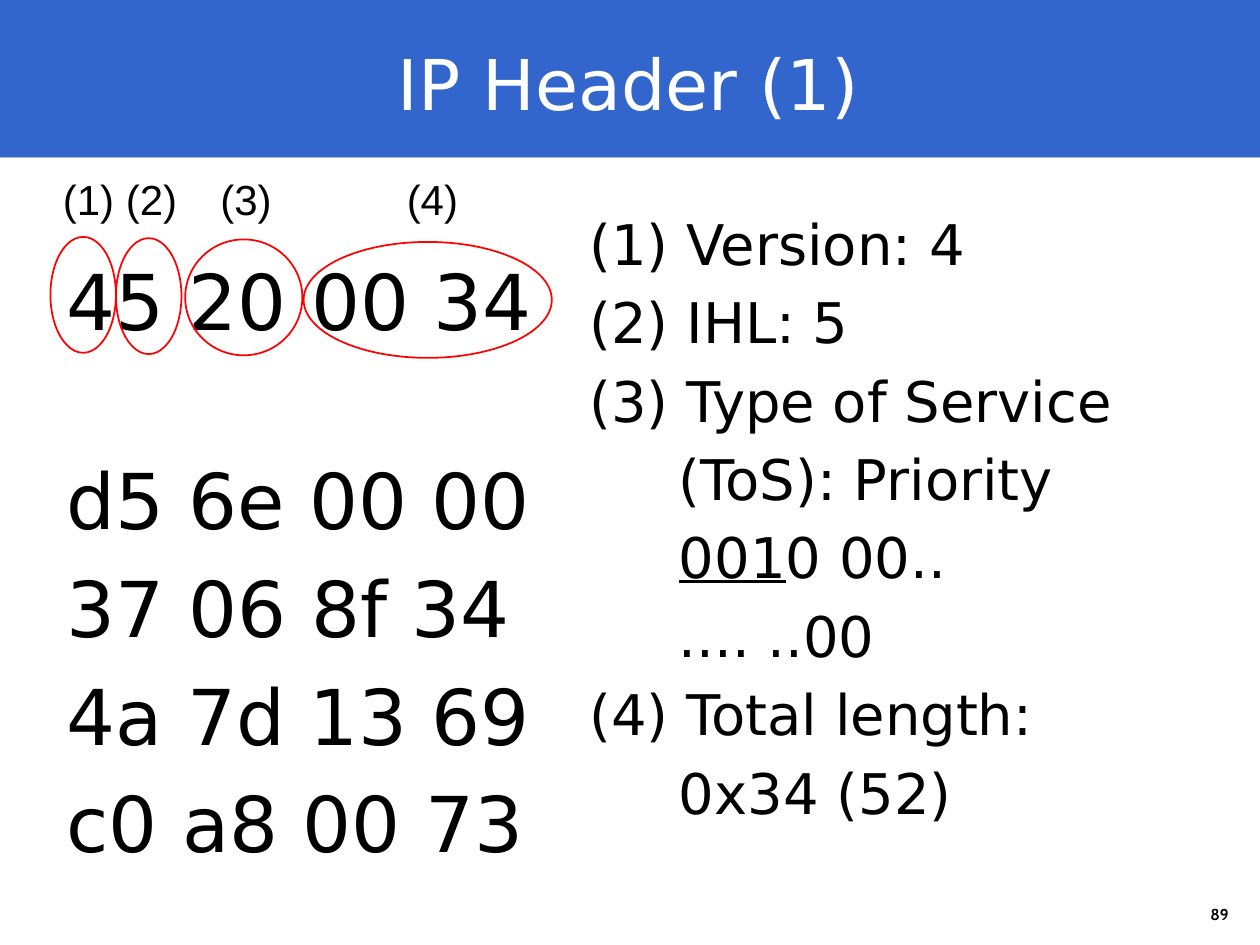
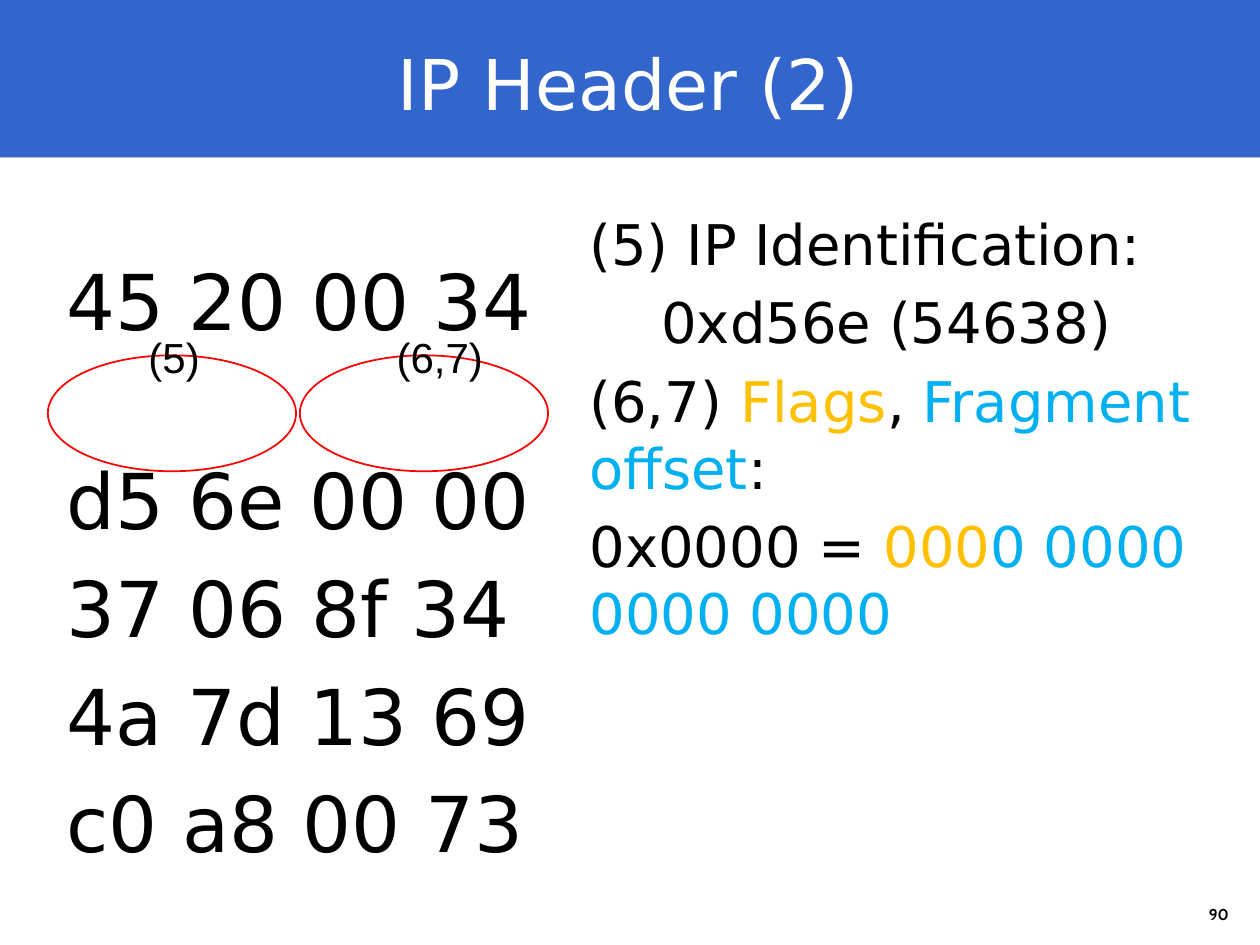
from pptx import Presentation
from pptx.dml.color import RGBColor
from pptx.enum.shapes import MSO_SHAPE
from pptx.enum.text import MSO_ANCHOR, PP_ALIGN
from pptx.util import Inches, Pt

RECTANGLE, OVAL = MSO_SHAPE.RECTANGLE, MSO_SHAPE.OVAL
TOP, MIDDLE, BOTTOM = MSO_ANCHOR.TOP, MSO_ANCHOR.MIDDLE, MSO_ANCHOR.BOTTOM
LEFT, CENTER, RIGHT = PP_ALIGN.LEFT, PP_ALIGN.CENTER, PP_ALIGN.RIGHT

# Shared look
BACKDROP, BLUE, WHITE, BLACK = "B2B2B2", "3366CC", "FFFFFF", "000000"
RED, AMBER, SKY = "FF0000", "FFC000", "00B0F0"
MAIN_FONT, LABEL_FONT, NUMBER_FONT = "DejaVu Sans", "Arial", "Cabin"
LINE_HEIGHT = 1.2      # line pitch as a share of the font size
PARA_GAP = 0.2         # space before a paragraph, same unit
WORD_GAP = 61          # points between the first header word and the rest

HEADER_WORDS = ["45 20 00 34", "d5 6e 00 00", "37 06 8f 34",
                "4a 7d 13 69", "c0 a8 00 73"]


def color(hex_value):
    return RGBColor.from_string(hex_value)


def add_panel(page, shape_type, left, top, width, height, fill=None, line=None):
    panel = page.shapes.add_shape(shape_type, Inches(left), Inches(top),
                                  Inches(width), Inches(height))
    panel.shadow.inherit = False
    if fill:
        panel.fill.solid()
        panel.fill.fore_color.rgb = color(fill)
    else:
        panel.fill.background()
    if line:
        panel.line.color.rgb = color(line)
        panel.line.width = Pt(1)
    else:
        panel.line.fill.background()


def add_text(page, left, top, width, height, lines, size, font=MAIN_FONT,
             ink=BLACK, align=LEFT, anchor=TOP, bold=False):
    """Each line is a string or a list of (text, style) spans."""
    box = page.shapes.add_textbox(Inches(left), Inches(top),
                                  Inches(width), Inches(height))
    frame = box.text_frame
    frame.word_wrap = True
    frame.vertical_anchor = anchor
    for index, line in enumerate(lines):
        para = frame.paragraphs[0] if index == 0 else frame.add_paragraph()
        para.alignment = align
        para.font.name, para.font.size, para.font.bold = font, Pt(size), bold
        para.font.color.rgb = color(ink)
        for text, style in [(line, {})] if isinstance(line, str) else line:
            span = para.add_run()
            span.text = text
            if "ink" in style:
                span.font.color.rgb = color(style["ink"])
            if "underline" in style:
                span.font.underline = style["underline"]
    return frame


def space_lines(frame, size):
    frame.margin_top = Inches(0.07)
    for index, para in enumerate(frame.paragraphs):
        para.line_spacing = Pt(round(size * LINE_HEIGHT, 1))
        if index:
            para.space_before = Pt(round(size * PARA_GAP, 1))


def add_page(deck, title, number):
    page = deck.slides.add_slide(deck.slide_layouts[6])
    page.background.fill.solid()
    page.background.fill.fore_color.rgb = color(BACKDROP)
    add_panel(page, RECTANGLE, 0, 0, 10, 1.25, fill=BLUE)
    add_panel(page, RECTANGLE, 0, 1.25, 10, 6.25, fill=WHITE)
    add_text(page, 8.73, 7.07, 1.12, 0.31, [str(number)], 9, NUMBER_FONT,
             align=RIGHT, anchor=BOTTOM, bold=True)
    frame = add_text(page, 0.34, 0.06, 9.29, 1.17, [title], 40,
                     ink=WHITE, align=CENTER, anchor=MIDDLE)
    space_lines(frame, 40)
    return page


def add_header_words(page):
    frame = add_text(page, 0.43, 1.94, 3.99, 4.64, HEADER_WORDS, 44)
    space_lines(frame, 44)
    frame.paragraphs[1].space_before = Pt(WORD_GAP)


def add_explanation(page, lines, indented, indent):
    frame = add_text(page, 4.58, 1.59, 5.17, 5.57, lines, 32)
    space_lines(frame, 32)
    for index in indented:
        properties = frame.paragraphs[index]._p.get_or_add_pPr()
        properties.set("marL", str(Inches(indent)))
        properties.set("indent", "0")


def add_field_marks(page, label_top, marks):
    """Circle each header field and put its number above it."""
    for label, label_left, label_width, left, top, width in marks:
        add_panel(page, OVAL, left, top, width, 0.92, line=RED)
        add_text(page, label_left, label_top, label_width, 0.51, [label], 24,
                 LABEL_FONT)


def main():
    deck = Presentation()
    deck.slide_width, deck.slide_height = Inches(10), Inches(7.5)

    # Version, header length, service type and total length
    page = add_page(deck, "IP Header (1)", 89)
    add_header_words(page)
    add_explanation(page, [
        "(1) Version: 4",
        "(2) IHL: 5",
        "(3) Type of Service",
        "(ToS): Priority",
        [("001", {"underline": True}), ("0 00..", {})],
        ".... ..00",
        "(4) Total length:",
        "0x34 (52)",
    ], indented=[3, 4, 5, 7], indent=0.71)
    add_field_marks(page, 1.33, [
        ("(1)", 0.4, 0.62, 0.4, 1.88, 0.52),
        ("(2)", 0.9, 0.62, 0.92, 1.89, 0.52),
        ("(3)", 1.65, 0.62, 1.47, 1.9, 0.93),
        ("(4)", 3.13, 0.62, 2.41, 1.92, 1.97),
    ])

    # Identification, flags and fragment offset
    page = add_page(deck, "IP Header (2)", 90)
    add_header_words(page)
    add_explanation(page, [
        "(5) IP Identification:",
        "0xd56e (54638)",
        [("(6,7) ", {}), ("Flags", {"ink": AMBER}), (", ", {}),
         ("Fragment offset", {"ink": SKY}), (":", {})],
        [("0x0000 = ", {}), ("000", {"ink": AMBER}),
         ("0 0000 0000 0000", {"ink": SKY})],
    ], indented=[1], indent=0.57)
    add_field_marks(page, 2.58, [
        ("(5)", 1.08, 0.62, 0.38, 2.82, 1.97),
        ("(6,7)", 3.05, 1.2, 2.38, 2.82, 1.97),
    ])

    deck.save("out.pptx")


if __name__ == "__main__":
    main()
